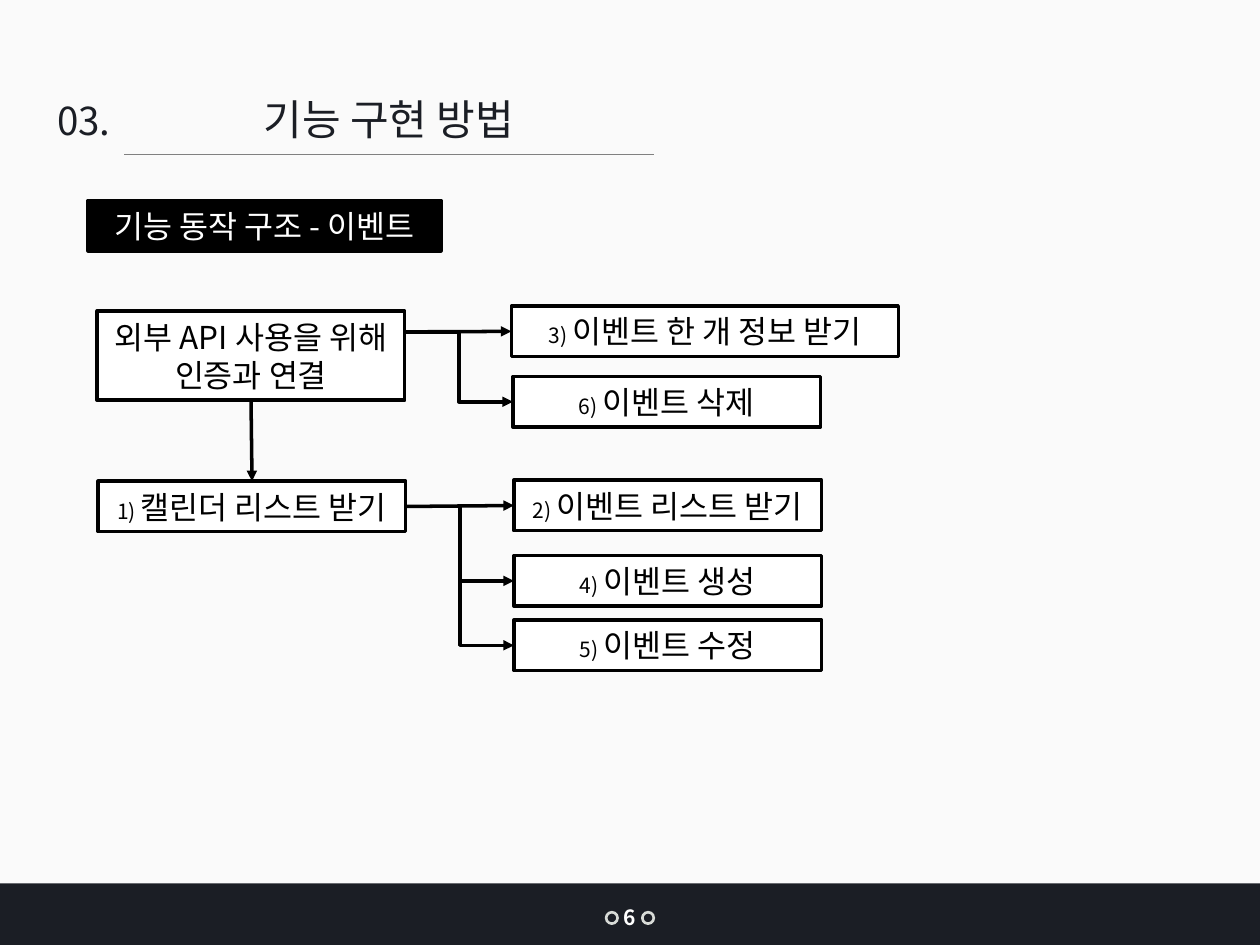
from lxml import etree
from pptx import Presentation
from pptx.dml.color import RGBColor
from pptx.enum.shapes import MSO_CONNECTOR, MSO_SHAPE
from pptx.enum.text import MSO_ANCHOR, MSO_AUTO_SIZE, PP_ALIGN
from pptx.oxml.ns import qn
from pptx.util import Cm, Pt

RECT, OVAL = MSO_SHAPE.RECTANGLE, MSO_SHAPE.OVAL
LINE, ELBOW = MSO_CONNECTOR.STRAIGHT, MSO_CONNECTOR.ELBOW
MID, CENTER = MSO_ANCHOR.MIDDLE, PP_ALIGN.CENTER

PAPER = RGBColor(0xFA, 0xFA, 0xFA)
NAVY = RGBColor(0x1B, 0x1E, 0x25)
RING = RGBColor(0xD8, 0xDB, 0xD7)
GRAY = RGBColor(0x80, 0x80, 0x80)
BLACK = RGBColor(0, 0, 0)
WHITE = RGBColor(255, 255, 255)

FACE = "Noto Sans CJK KR"
FRAME = {"auto_size": MSO_AUTO_SIZE.NONE, "vertical_anchor": MID, "word_wrap": True}
BOX_W, BOX_H = 6.2, 1.02


def apply(item, form):
    for key, value in form.items():
        setattr(item, key, value)


def write(shape, parts, color, bold=False, **frame):
    apply(shape.text_frame, {**FRAME, **frame})
    para = shape.text_frame.paragraphs[0]
    para.alignment = CENTER
    for text, size in parts:
        run = para.add_run()
        run.text = text
        apply(run.font, {"name": FACE, "size": Pt(size), "bold": bold})
        run.font.color.rgb = color
        etree.SubElement(run.font._element, qn("a:ea"), typeface=FACE)


def draw(slide, kind, box, fill, edge=None, width=2):
    shape = slide.shapes.add_shape(kind, *map(Cm, box))
    shape.shadow.inherit = False
    shape.fill.solid()
    shape.fill.fore_color.rgb = fill
    if edge is None:
        shape.line.fill.background()
    else:
        shape.line.color.rgb = edge
        shape.line.width = Pt(width)
    return shape


def link(slide, kind, start, end, color=BLACK, width=2, arrow=True):
    wire = slide.shapes.add_connector(kind, *map(Cm, (*start, *end)))
    wire.line.color.rgb = color
    wire.line.width = Pt(width)
    if arrow:
        etree.SubElement(wire.line._get_or_add_ln(), qn("a:tailEnd"), type="triangle")
    etree.SubElement(wire._element.spPr, qn("a:effectLst"))


def header(slide, left, top):
    title = slide.shapes.title
    apply(title, {"left": Cm(left + 1.02), "top": Cm(top),
                  "width": Cm(12.12), "height": Cm(1.27)})
    write(title, [("기능 구현 방법", 24)], NAVY)
    mark = slide.shapes.add_textbox(Cm(left), Cm(top + 0.08), Cm(2.03), Cm(1.19))
    write(mark, [("03. ", 22)], NAVY)
    rule = top + 1.37
    link(slide, LINE, (left + 1.75, rule), (left + 12.42, rule), GRAY, 0.75, False)
    tag = draw(slide, RECT, (left + 1.02, top + 2.29, 7.11, BOX_H), BLACK, BLACK)
    write(tag, [("기능 동작 구조 - 이벤트", 18)], WHITE)


def branch(slide, left, top, start, steps):
    for index, (label, text, x, y, width) in enumerate(steps):
        box = (left + x, top + y, width, BOX_H)
        write(draw(slide, RECT, box, WHITE, BLACK), [(label, 12), (text, 18)], BLACK)
        end = (left + x, top + y + BOX_H / 2)
        link(slide, ELBOW if index else LINE, start, end)


def flow(slide, left, top):
    auth = draw(slide, RECT, (left, top + 0.1, BOX_W, 1.8), WHITE, BLACK)
    write(auth, [("외부 API 사용을 위해 인증과 연결", 18)], BLACK)
    root = draw(slide, RECT, (left + 0.02, top + 3.53, BOX_W, BOX_H), WHITE, BLACK)
    write(root, [("1) ", 12), ("캘린더 리스트 받기", 18)], BLACK)
    link(slide, LINE, (left + 3.1, top + 1.9), (left + 3.12, top + 3.53))
    branch(slide, left, top, (left + BOX_W, top + 0.52), [
        ("3) ", "이벤트 한 개 정보 받기", 8.35, 0, 7.8),
        ("6) ", "이벤트 삭제", 8.38, 1.42, BOX_W),
    ])
    branch(slide, left, top, (left + BOX_W + 0.02, top + 4.04), [
        ("2) ", "이벤트 리스트 받기", 8.4, 3.51, BOX_W),
        ("4) ", "이벤트 생성", 8.4, 5.03, BOX_W),
        ("5) ", "이벤트 수정", 8.4, 6.33, BOX_W),
    ])


def footer(slide, left, top, width, height):
    draw(slide, RECT, (left, top, width, height), NAVY)
    mid = left + width / 2
    for shift in (-0.48, 0.25):
        draw(slide, OVAL, (mid + shift, top + 0.58, 0.23, 0.23), NAVY, RING, 1.5)
    page = slide.shapes.add_textbox(Cm(mid - 0.38), Cm(top + 0.3), Cm(0.76), Cm(0.76))
    write(page, [("6", 12)], WHITE, bold=True, word_wrap=False)


def main():
    deck = Presentation()
    apply(deck, {"slide_width": Cm(25.4), "slide_height": Cm(19.05)})
    slide = deck.slides.add_slide(deck.slide_layouts[5])
    slide.background.fill.solid()
    slide.background.fill.fore_color.rgb = PAPER
    header(slide, 0.76, 1.75)
    flow(slide, 1.96, 6.17)
    footer(slide, 0, 17.81, 25.4, 1.24)
    deck.save("out.pptx")


if __name__ == "__main__":
    main()
